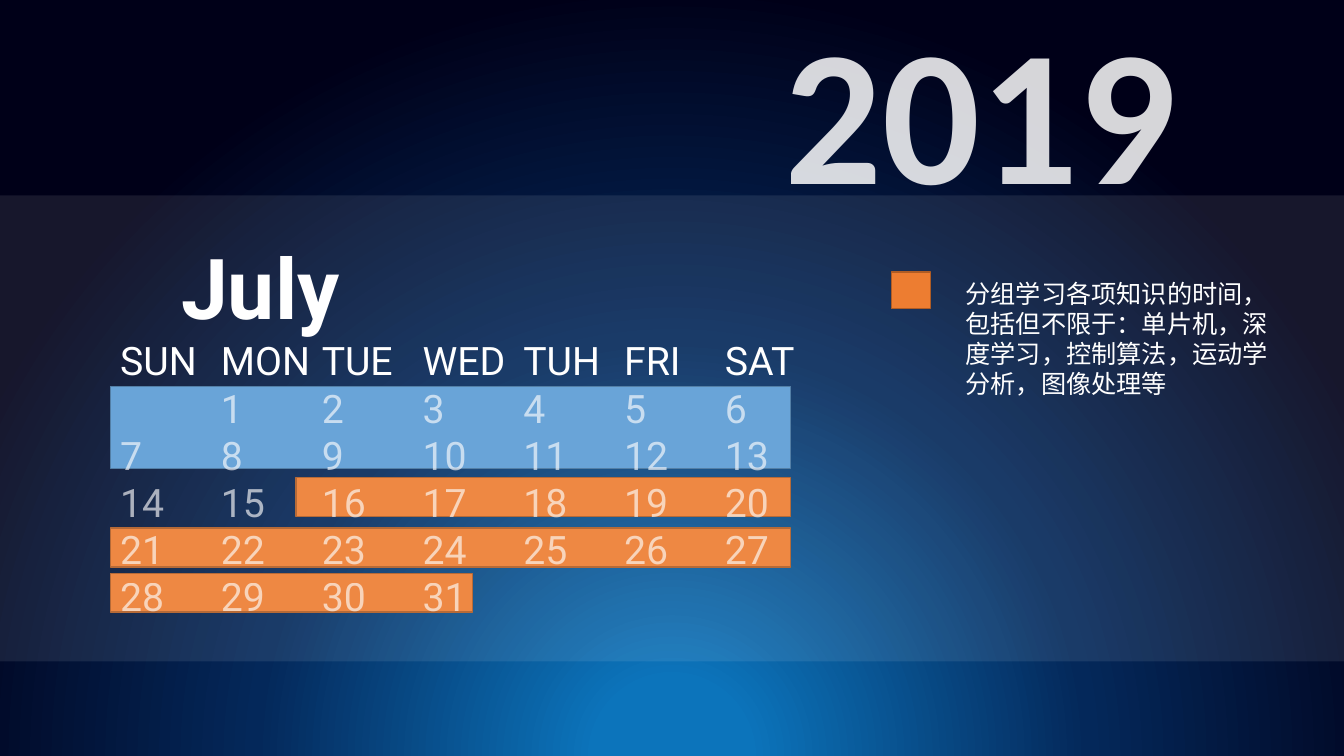
from collections import namedtuple

from lxml import etree
from pptx import Presentation
from pptx.dml.color import RGBColor
from pptx.enum.shapes import MSO_SHAPE
from pptx.enum.text import MSO_ANCHOR, MSO_AUTO_SIZE, PP_ALIGN
from pptx.oxml import parse_xml
from pptx.oxml.ns import nsdecls, qn
from pptx.util import Pt

RECTANGLE = MSO_SHAPE.RECTANGLE
TOP = MSO_ANCHOR.TOP
LEFT = PP_ALIGN.LEFT
NO_FIT = MSO_AUTO_SIZE.NONE
PX = 9525  # EMU in one px, 96 px to the inch

Box = namedtuple("Box", "left top width height")


class Theme:
    white = "FFFFFF"
    orange, orange_edge = "ED7D31", "AF5C24"
    blue, blue_edge = "5B9BD5", "43739E"
    glow = ((10, "0C74BB"), (54, "04285A"), (100, "000018"))
    band_alpha, date_alpha, year_alpha = 9, 64, 84
    month = {"name": "Roboto", "size": Pt(60), "bold": True}
    days = {"name": "Roboto", "size": Pt(28), "bold": False}
    year = {"name": "Calibri", "size": Pt(138), "bold": True}
    note = {"name": "Calibri", "size": Pt(18), "bold": False}


PAGE = Box(0, 0, 1280, 720)
WEEKDAYS = ("SUN", "MON", "TUE", "WED", "TUH", "FRI", "SAT")
FIRST_COLUMN, LAST_DAY = 1, 31
COLUMN = 96
MONTH_INDENT = 58


def set_format(target, values):
    for name, value in values.items():
        setattr(target, name, value)


def within(box, left, top, width, height):
    return Box(box.left + left, box.top + top, width, height)


def place(shape, box):
    set_format(shape, {name: value * PX for name, value in box._asdict().items()})


def set_alpha(fill, percent):
    color = fill._xPr.find(qn("a:solidFill"))[0]
    etree.SubElement(color, qn("a:alpha")).set("val", str(percent * 1000))


def add_rectangle(page, box, color, edge=None, alpha=None):
    shape = page.shapes.add_shape(RECTANGLE, *(value * PX for value in box))
    shape.shadow.inherit = False
    shape.fill.solid()
    shape.fill.fore_color.rgb = RGBColor.from_string(color)
    if alpha:
        set_alpha(shape.fill, alpha)
    if edge:
        shape.line.color.rgb = RGBColor.from_string(edge)
        shape.line.width = Pt(1)
    else:
        shape.line.fill.background()
    return shape


def prepare_frame(frame):
    set_format(frame, {"word_wrap": True, "auto_size": NO_FIT, "vertical_anchor": TOP,
                       "margin_left": Pt(7.2), "margin_right": Pt(7.2),
                       "margin_top": Pt(3.6), "margin_bottom": Pt(3.6)})


def add_span(para, text, style, alpha=None):
    set_format(para, {"alignment": LEFT, "space_before": Pt(0), "line_spacing": 1.0})
    span = para.add_run()
    span.text = text
    set_format(span.font, style)
    span.font.color.rgb = RGBColor.from_string(Theme.white)
    if alpha:
        set_alpha(span.font.fill, alpha)


def fill_placeholder(page, holder, box, text, style, alpha=None):
    page.shapes._spTree.append(holder._element)  # bring to the front
    place(holder, box)
    prepare_frame(holder.text_frame)
    add_span(holder.text_frame.paragraphs[0], text, style, alpha)


def add_backdrop(page, box):
    shape = add_rectangle(page, box, Theme.glow[-1][1])
    stops = "".join(f'<a:gs pos="{position * 1000}"><a:srgbClr val="{color}"/></a:gs>'
                    for position, color in Theme.glow)
    gradient = parse_xml(
        f'<a:gradFill {nsdecls("a")} rotWithShape="1"><a:gsLst>{stops}</a:gsLst>'
        '<a:path path="circle"><a:fillToRect l="50000" t="130000" r="50000" b="-30000"/>'
        '</a:path></a:gradFill>')
    properties = shape._element.spPr
    properties.replace(properties.find(qn("a:solidFill")), gradient)


def week_rows():
    cells = [""] * FIRST_COLUMN + [str(day) for day in range(1, LAST_DAY + 1)]
    return ["\t".join(cells[start:start + 7]) for start in range(0, len(cells), 7)]


def add_calendar(page, box):
    # Highlighted periods
    full = 648
    orange, blue = (Theme.orange, Theme.orange_edge), (Theme.blue, Theme.blue_edge)
    periods = (((0, 326, 345, 37), orange), ((0, 283, full, 37), orange),
               ((177, 235, full - 177, 37), orange), ((0, 148, full, 78), blue))
    for area, colors in periods:
        add_rectangle(page, within(box, *area), *colors)

    # Month, weekdays and dates
    frame = page.shapes.add_textbox(*(value * PX for value in box)).text_frame
    prepare_frame(frame)
    heading = frame.paragraphs[0]
    add_span(heading, "July", Theme.month)
    heading._p.get_or_add_pPr().set("marL", str(MONTH_INDENT * PX))
    add_span(frame.add_paragraph(), "\t".join(WEEKDAYS), Theme.days)
    for row in week_rows():
        add_span(frame.add_paragraph(), row, Theme.days, Theme.date_alpha)
    for para in frame.paragraphs:
        para._p.get_or_add_pPr().set("defTabSz", str(COLUMN * PX))


def add_legend(page, box, holder, text):
    add_rectangle(page, within(box, 0, 0, 37, 35), Theme.orange, Theme.orange_edge)
    fill_placeholder(page, holder, within(box, 61, 1, box.width - 61, box.height),
                     text, Theme.note)
    properties = holder.text_frame.paragraphs[0]._p.get_or_add_pPr()
    set_plain = {"marL": "0", "indent": "0"}
    for name, value in set_plain.items():
        properties.set(name, value)
    etree.SubElement(properties, qn("a:buNone"))


def main():
    deck = Presentation()
    deck.slide_width, deck.slide_height = PAGE.width * PX, PAGE.height * PX
    page = deck.slides.add_slide(deck.slide_layouts[1])
    title, body = page.placeholders

    add_backdrop(page, PAGE)
    add_calendar(page, Box(105, 220, 805, 378))
    fill_placeholder(page, title, Box(738, -13, 481, 232), "2019",
                     Theme.year, Theme.year_alpha)
    add_rectangle(page, Box(0, 186, PAGE.width, 444), Theme.white, alpha=Theme.band_alpha)
    add_legend(page, Box(849, 259, 369, 126), body,
               "分组学习各项知识的时间，包括但不限于：单片机，深度学习，控制算法，运动学分析，图像处理等")
    deck.save("out.pptx")


if __name__ == "__main__":
    main()
